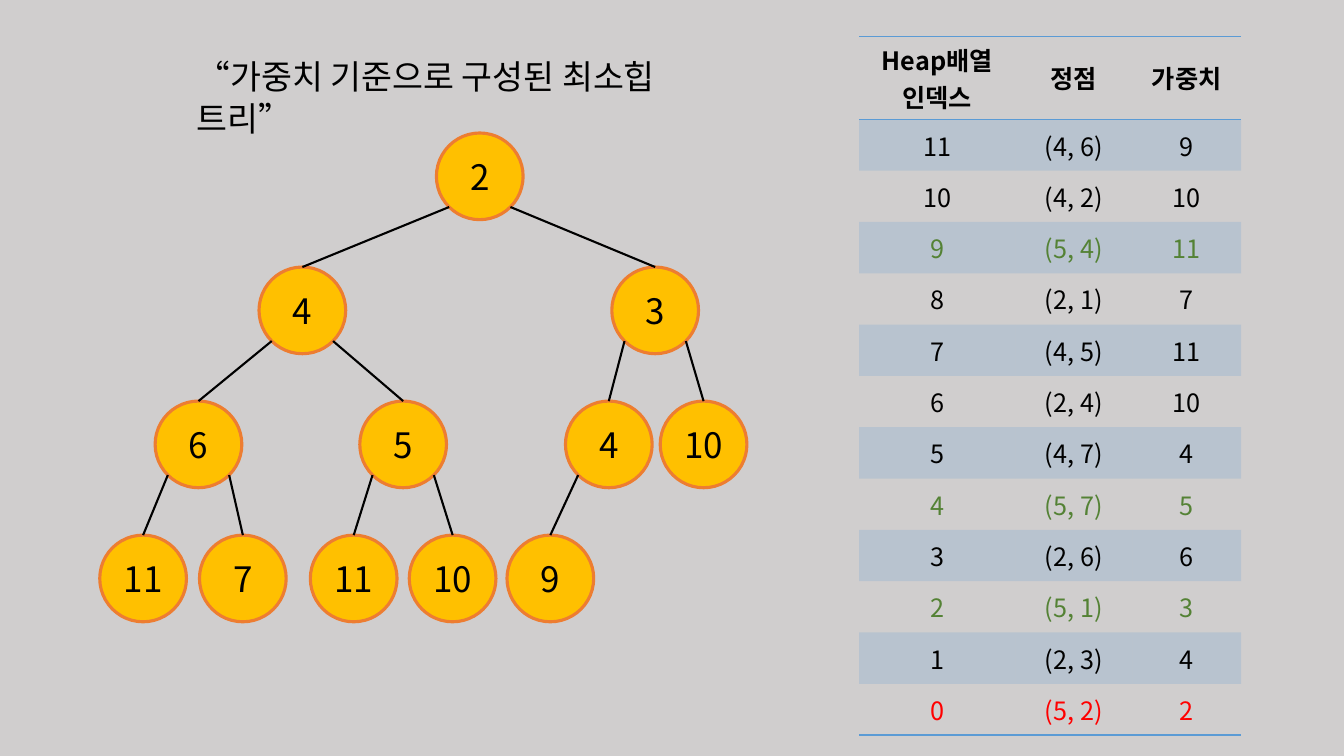
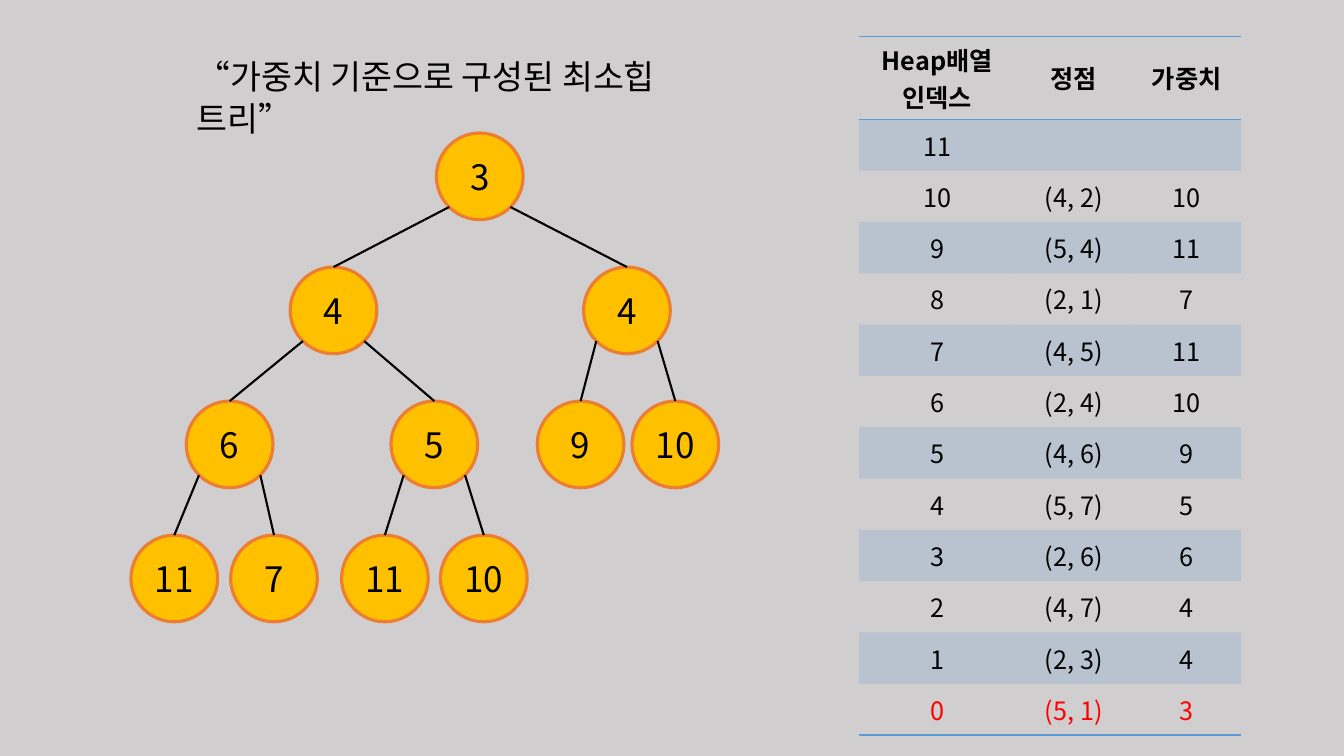
from dataclasses import dataclass
from math import sqrt

from lxml.etree import SubElement as Sub
from pptx import Presentation
from pptx.dml.color import RGBColor as Rgb
from pptx.enum.shapes import MSO_CONNECTOR as Conn, MSO_SHAPE as Kind
from pptx.enum.text import MSO_ANCHOR as Anchor, MSO_AUTO_SIZE as Fit, PP_ALIGN as Align
from pptx.oxml.ns import qn
from pptx.util import Inches, Pt


@dataclass(frozen=True)
class Theme:
    font: str = "Noto Sans CJK KR"
    back: str = "D0CECE"
    ink: str = "000000"
    fill: str = "FFC000"
    rim: str = "ED7D31"
    rule: str = "5B9BD5"
    green: str = "548235"
    red: str = "FF0000"
    head: float = 24
    lead: float = 30
    node: float = 25
    cell: float = 18
    band: int = 20
    plain: str = "{2D5ABB26-0587-4C30-8999-92F81FD0307C}"


TITLE = "“가중치 기준으로 구성된 최소힙 트리”"
HEADS = ("Heap배열\n인덱스", "정점", "가중치")
COLS = (11.63, 8.7, 8.1)
NODE = 0.86
ROOT, TOP, STEP = 35.7, 23.33, 17.73
SPREAD = {1: (7.73, 7.5), 2: (3.45, 3.6), 3: (4.12, 3.3), 4: (3.68, 3.68), 5: (4.35, 0)}


class Deck:
    def __init__(self, theme):
        self.theme = theme
        self.prs = Presentation()
        self.prs.slide_width, self.prs.slide_height = Inches(13.33), Inches(7.5)
        back = self.prs.slide_master.background.fill
        back.solid()
        back.fore_color.rgb = Rgb.from_string(theme.back)
        self.slide = None

    def x(self, share):
        return round(self.prs.slide_width * share / 100)

    def y(self, share):
        return round(self.prs.slide_height * share / 100)

    def style(self, frame, size, tint, align=Align.CENTER, bold=False):
        for para in frame.paragraphs:
            para.alignment = align
            for run in para.runs:
                font = run.font
                font.name, font.size, font.bold = self.theme.font, Pt(size), bold
                font.color.rgb = Rgb.from_string(tint)
                Sub(run._r.get_or_add_rPr(), qn("a:ea"), typeface=self.theme.font)

    def page(self, text):
        self.slide = self.prs.slides.add_slide(self.prs.slide_layouts[5])
        title = self.slide.shapes.title
        title.left, title.top = self.x(13.88), self.y(6.53)
        title.width, title.height = self.x(35.7), self.y(6.93)
        frame = title.text_frame
        frame.text = text
        frame.word_wrap, frame.auto_size = True, Fit.NONE
        frame.vertical_anchor = Anchor.TOP
        frame.paragraphs[0].line_spacing = Pt(self.theme.lead)
        self.style(frame, self.theme.head, self.theme.ink, Align.LEFT)

    def node(self, mid, row, text):
        size = Inches(NODE)
        ball = self.slide.shapes.add_shape(
            Kind.OVAL, self.x(mid) - size // 2, self.y(row) - size // 2, size, size)
        ball.shadow.inherit = False
        ball.fill.solid()
        ball.fill.fore_color.rgb = Rgb.from_string(self.theme.fill)
        ball.line.color.rgb = Rgb.from_string(self.theme.rim)
        ball.line.width = Pt(2.25)
        frame = ball.text_frame
        frame.text = text
        frame.word_wrap = False
        frame.vertical_anchor = Anchor.MIDDLE
        self.style(frame, self.theme.node, self.theme.ink)
        return ball

    def edge(self, top, low, side):
        half = top.width / 2
        reach = half / sqrt(2)
        line = self.slide.shapes.add_connector(
            Conn.STRAIGHT, round(top.left + half + side * reach),
            round(top.top + half + reach), low.left + low.width // 2, low.top)
        line.end_connect(low, 0)
        line.line.color.rgb = Rgb.from_string(self.theme.ink)
        line.line.width = Pt(1.5)
        Sub(line._element.spPr, qn("a:effectLst"))

    def tree(self, keys, wide):
        spread = {0: wide, **SPREAD}
        mids, balls = [ROOT], []
        for i, key in enumerate(keys):
            level = (i + 1).bit_length() - 1
            if i:
                up, right = (i - 1) // 2, (i - 1) % 2
                side = 1 if right else -1
                mids.append(mids[up] + side * spread[up][right])
            balls.append(self.node(mids[i], TOP + STEP * level, str(key)))
            if i:
                self.edge(balls[up], balls[i], side)

    def border(self, cell, tags):
        props = cell._tc.get_or_add_tcPr()
        for tag in tags:
            line = Sub(props, qn("a:" + tag), w=str(Pt(1)))
            Sub(Sub(line, qn("a:solidFill")), qn("a:srgbClr"), val=self.theme.rule)

    def shade(self, cell, band):
        if not band:
            cell.fill.background()
            return
        cell.fill.solid()
        cell.fill.fore_color.rgb = Rgb.from_string(self.theme.rule)
        tint = cell._tc.tcPr.find(".//" + qn("a:srgbClr"))
        Sub(tint, qn("a:alpha"), val=str(self.theme.band * 1000))

    def table(self, rows, tints):
        last = len(rows)
        grid = self.slide.shapes.add_table(
            last + 1, len(HEADS), self.x(63.92), self.y(4.8),
            self.x(sum(COLS)), self.y(90.27)).table
        grid.first_row = grid.horz_banding = False
        grid._tbl.tblPr.find(qn("a:tableStyleId")).text = self.theme.plain
        for col, share in zip(grid.columns, COLS):
            col.width = self.x(share)
        for r, row in enumerate((HEADS, *rows)):
            grid.rows[r].height = self.y(6.79 if r else 8.8)
            tint = tints.get(last - r, self.theme.ink)
            tags = ("lnT", "lnB") if r == 0 else ("lnB",) if r == last else ()
            for c, text in enumerate(row):
                cell = grid.cell(r, c)
                cell.text_frame.text = text
                cell.vertical_anchor = Anchor.MIDDLE
                self.style(cell.text_frame, self.theme.cell, tint, bold=r == 0)
                self.border(cell, tags)
                self.shade(cell, r % 2)

    def heap(self, items, size, wide, tints):
        self.page(TITLE)
        self.tree([key for _, _, key in items], wide)
        rows = [(str(i), "", "") for i in range(size - 1, len(items) - 1, -1)]
        rows += [(str(i), f"({a}, {b})", str(key))
                 for i, (a, b, key) in reversed(list(enumerate(items)))]
        self.table(rows, tints)


def main():
    theme = Theme()
    deck = Deck(theme)
    full = [(5, 2, 2), (2, 3, 4), (5, 1, 3), (2, 6, 6), (5, 7, 5), (4, 7, 4),
            (2, 4, 10), (4, 5, 11), (2, 1, 7), (5, 4, 11), (4, 2, 10), (4, 6, 9)]
    less = full[:-1]
    less[0], less[2], less[5] = full[2], full[5], full[11]
    root = {0: theme.red}
    deck.heap(full, len(full), (13.2, 13.05), root | dict.fromkeys((2, 4, 9), theme.green))
    deck.heap(less, len(full), (10.88, 10.95), root)
    deck.prs.save("out.pptx")


if __name__ == "__main__":
    main()
